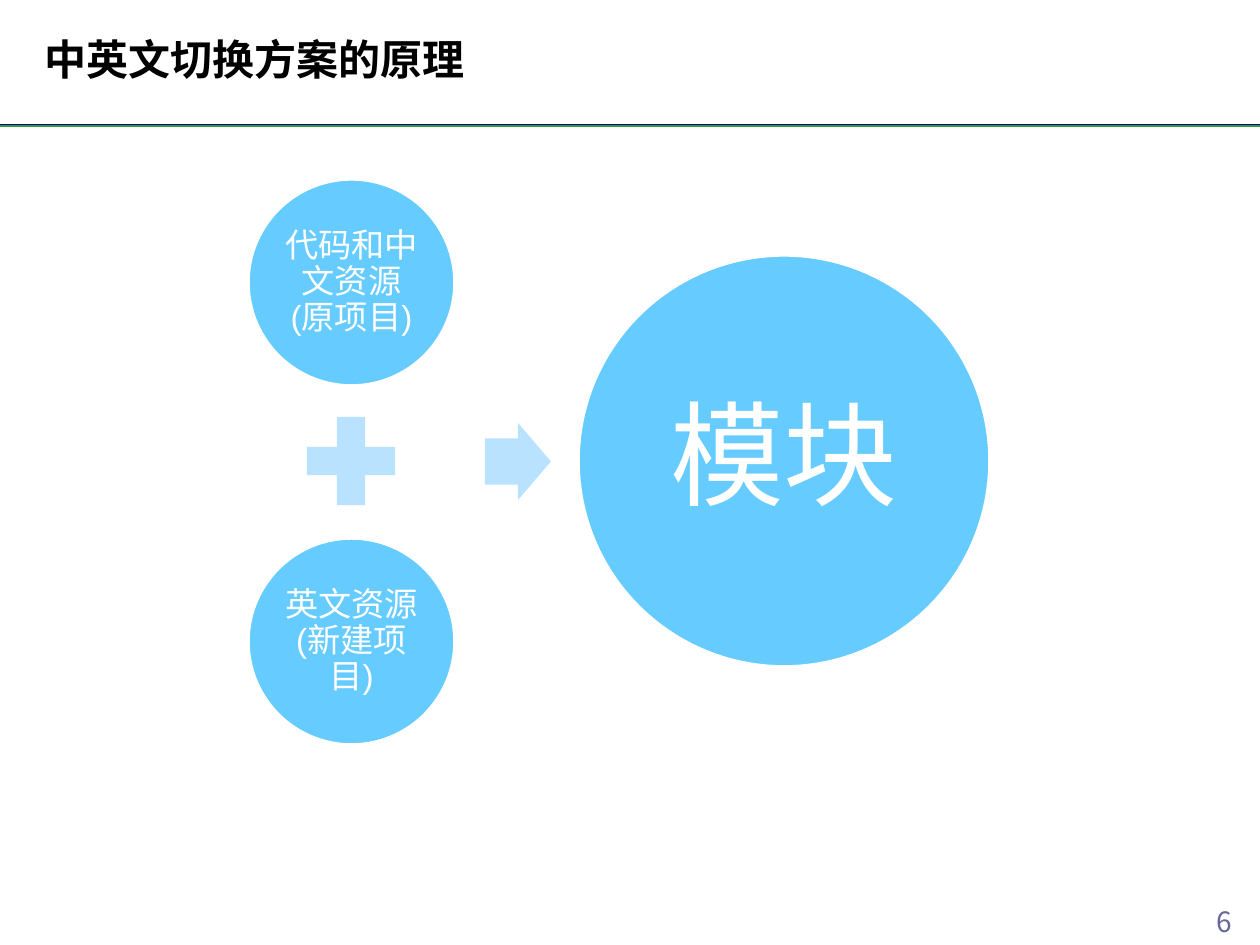
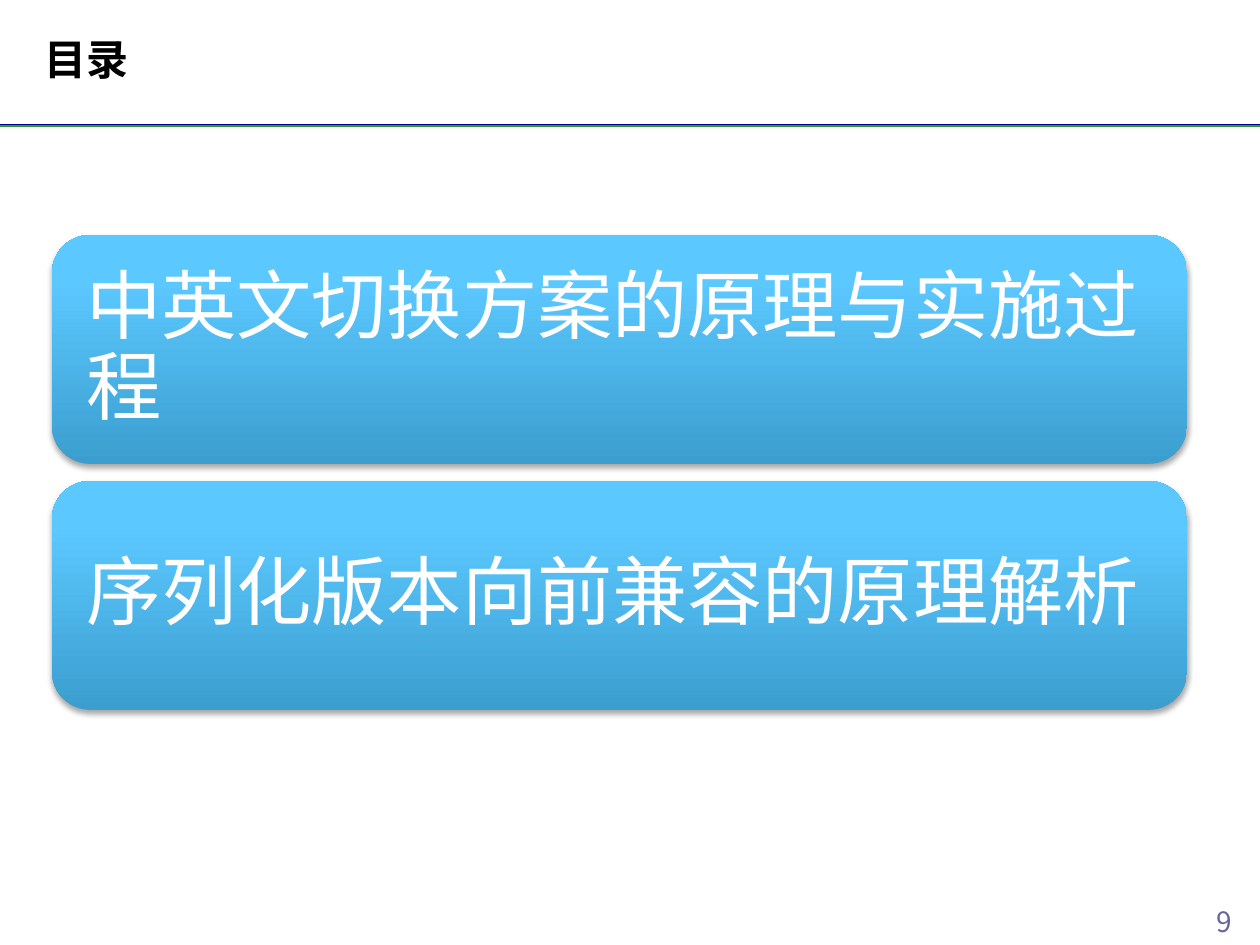
import dataclasses

import pptx
import pptx.dml.color
import pptx.enum.lang
import pptx.enum.shapes
import pptx.enum.text
import pptx.oxml
import pptx.oxml.ns
import pptx.util

RGB = pptx.dml.color.RGBColor.from_string
SHAPE = pptx.enum.shapes.MSO_SHAPE
ALIGN = pptx.enum.text.PP_ALIGN
ANCHOR = pptx.enum.text.MSO_ANCHOR
ZH = pptx.enum.lang.MSO_LANGUAGE_ID.SIMPLIFIED_CHINESE
A_NS = pptx.oxml.ns.nsdecls("a")


@dataclasses.dataclass(frozen=True)
class Theme:
    font: str = "Arial"
    number_font: str = "Noto Sans CJK SC"
    black: str = "000000"
    white: str = "FFFFFF"
    number: str = "666699"
    rules: tuple = ("000099", "339933")
    circle: str = "66CCFF"
    operator: str = "B8E2FF"
    gradient: tuple = ((0, "3B9ECF"), (0.8, "5BC8FF"))
    title_size: int = 24
    number_size: int = 16
    source_size: int = 19
    module_size: int = 65
    topic_size: int = 43
    rule_width: float = 1.5
    outline_width: int = 2


theme = Theme()


def px(n):
    return round(n * 914400 / 126)


def set_text(shape, text, size, color, align, inset=None, font=theme.font, bold=False):
    tf = shape.text_frame
    tf.text = text
    tf.word_wrap = True
    if inset is not None:
        tf.margin_left = tf.margin_top = tf.margin_right = tf.margin_bottom = px(inset)
        tf.vertical_anchor = ANCHOR.MIDDLE
        tf.paragraphs[0].line_spacing = 0.9
    p = tf.paragraphs[0]
    p.alignment = align
    r = p.runs[0]
    r.font.name = font
    r.font.size = pptx.util.Pt(size)
    r.font.bold = bold
    r.font.color.rgb = RGB(color)
    r.font.language_id = ZH


prs = pptx.Presentation()
prs.slide_width, prs.slide_height = px(1260), px(945)

for title, number in (("中英文切换方案的原理", "6"), ("目录", "9")):
    s = prs.slides.add_slide(prs.slide_layouts[5])
    box = s.shapes.add_textbox(px(1188), px(898), px(72), px(47))
    set_text(box, number, theme.number_size, theme.number, ALIGN.CENTER,
             font=theme.number_font)

    for y, color in zip((125, 126), theme.rules):
        rule = s.shapes.add_connector(pptx.enum.shapes.MSO_CONNECTOR.STRAIGHT,
                                      0, px(y), px(1260), px(y))
        rule.line.color.rgb = RGB(color)
        rule.line.width = pptx.util.Pt(theme.rule_width)
        rule._element.spPr.append(pptx.oxml.parse_xml(f"<a:effectLst {A_NS}/>"))

    sp = s.shapes.title
    sp.left, sp.top, sp.width, sp.height = px(32), 0, px(1131), px(118)
    set_text(sp, title, theme.title_size, theme.black, ALIGN.LEFT, bold=True)
    sp.text_frame.vertical_anchor = ANCHOR.MIDDLE
    sp.text_frame.auto_size = pptx.enum.text.MSO_AUTO_SIZE.NONE

principle, contents = prs.slides

for text, x, y, diameter, size, inset in (
    ("代码和中文资源(原项目)", 248, 179, 207, theme.source_size, 4),
    ("英文资源(新建项目)", 248, 538, 207, theme.source_size, 4),
    ("模块", 578, 255, 412, theme.module_size, 11),
):
    circle = principle.shapes.add_shape(SHAPE.OVAL, px(x), px(y), px(diameter), px(diameter))
    circle.shadow.inherit = False
    circle.fill.solid()
    circle.fill.fore_color.rgb = RGB(theme.circle)
    circle.line.color.rgb = RGB(theme.white)
    circle.line.width = pptx.util.Pt(theme.outline_width)
    set_text(circle, text, size, theme.white, ALIGN.CENTER, inset)

plus = principle.shapes.add_shape(SHAPE.MATH_PLUS, px(291), px(401), px(120), px(120))
arrow = principle.shapes.add_shape(SHAPE.RIGHT_ARROW, px(485), px(423), px(66), px(77))
arrow.adjustments[0] = 0.6
for sp in (plus, arrow):
    sp.shadow.inherit = False
    sp.fill.solid()
    sp.fill.fore_color.rgb = RGB(theme.operator)
    sp.line.fill.background()

topics = ("中英文切换方案的原理与实施过程", "序列化版本向前兼容的原理解析")
for i, topic in enumerate(topics):
    panel = contents.shapes.add_shape(SHAPE.ROUNDED_RECTANGLE,
                                      px(52), px(235 + 246 * i), px(1135), px(229))
    panel.fill.gradient()
    panel.fill.gradient_angle = 90
    for stop, (position, color) in zip(panel.fill.gradient_stops, theme.gradient):
        stop.position = position
        stop.color.rgb = RGB(color)
    panel.line.fill.background()
    panel._element.spPr.append(pptx.oxml.parse_xml(
        f'<a:effectLst {A_NS}><a:outerShdw blurRad="40000" dist="23000" dir="5400000" '
        f'rotWithShape="0"><a:srgbClr val="{theme.black}"><a:alpha val="35000"/>'
        '</a:srgbClr></a:outerShdw></a:effectLst>'))
    set_text(panel, topic, theme.topic_size, theme.white, ALIGN.LEFT, 23)

prs.save("out.pptx")
